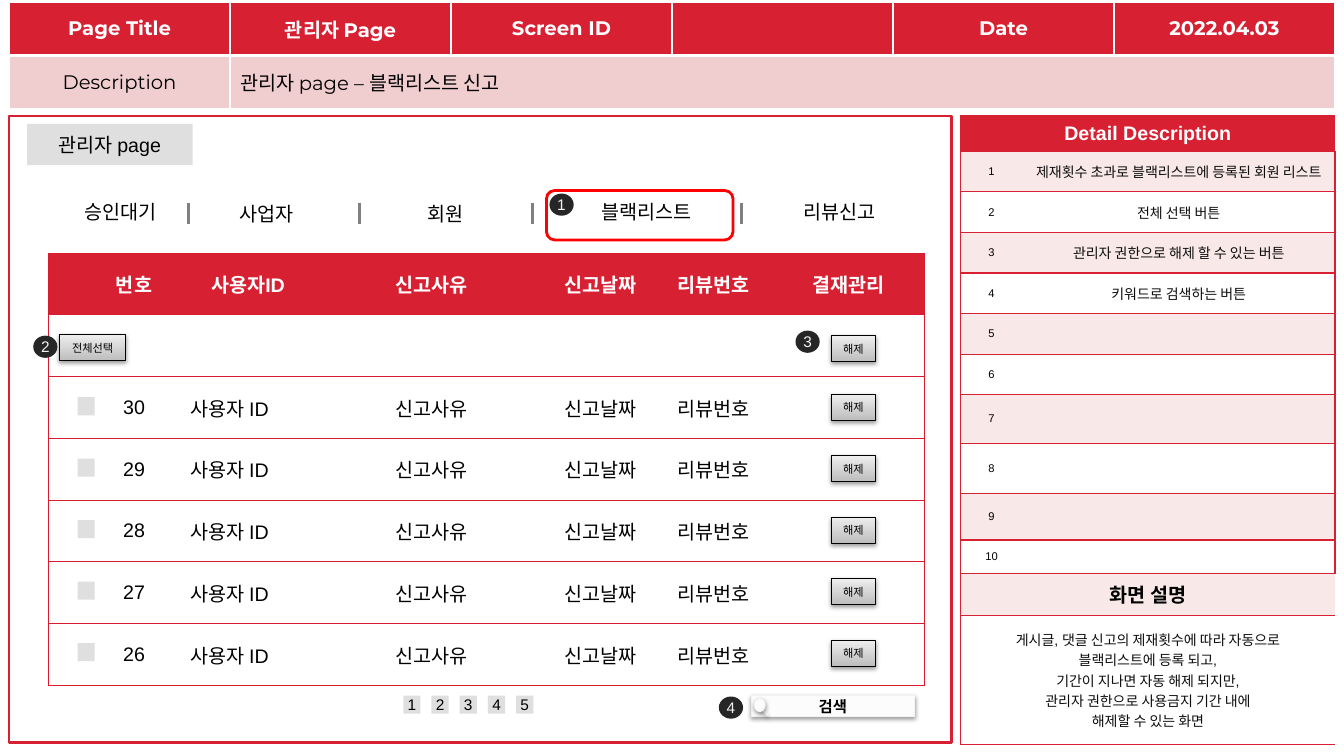
from pptx import Presentation
from pptx.dml.color import RGBColor as Rgb
from pptx.enum.shapes import MSO_CONNECTOR as Link, MSO_SHAPE as Kind
from pptx.enum.text import MSO_ANCHOR as Anchor, PP_ALIGN as Align
from pptx.oxml.ns import qn
from lxml.etree import SubElement as Sub, Element
from pptx.util import Inches, Pt

RED, RULE, GREY, WHITE, BLACK, INK = "D82033", "D81B2E", "DFDFDF", "FFFFFF", "000000", "0D0D0D"
PINK, PALE, DARK = "F0CDCE", "F8E8E8", "262626"
STEEL, SNOW = ("BDBDBD", "EEEEEE"), ("FCFCFC", "FEFEFE")
COLS, ROWS = 133.3, 75


def hue(code):
    return Rgb.from_string(code)


def unit(count):
    """Length of a number of grid columns or rows, ten to the inch."""
    return Inches(count / 10)


def write(frame, text, size=14, color=BLACK, bold=False, font="Arial", align=Align.CENTER):
    """Fill a text frame, one paragraph to each line of the text."""
    frame.word_wrap = True
    for num, line in enumerate(text.split("\n")):
        para = frame.add_paragraph() if num else frame.paragraphs[0]
        para.alignment = align
        if not line:
            para._p.get_or_add_endParaRPr().set("sz", str(size * 100))
            continue
        run = para.add_run()
        run.text = line
        run.font.size, run.font.bold, run.font.name = Pt(size), bold, font
        run.font.color.rgb = hue(color)


def edge(cell, side, color, width):
    """Draw one border of a cell, or clear it when there is no colour."""
    line = Element(qn("a:ln" + side), w=str(Pt(width)))
    if color:
        Sub(Sub(line, qn("a:solidFill")), qn("a:srgbClr"), val=color)
    else:
        Sub(line, qn("a:noFill"))
    props = cell._tc.get_or_add_tcPr()
    props.insert("LRTB".index(side), line)


class Board:
    """Draws styled shapes on one slide, measured on the grid."""

    def __init__(self, deck):
        self.slide = deck.slides.add_slide(deck.slide_layouts[6])
        self.shapes = self.slide.shapes

    def box(self, x, y, w, h, text="", kind=Kind.RECTANGLE, fill=None, line=None,
            width=0.75, shade=False, turn=0, **form):
        shape = self.shapes.add_shape(kind, *map(unit, (x, y, w, h)))
        shape.rotation = turn
        shape.shadow.inherit = False
        if isinstance(fill, tuple):
            shape.fill.gradient()
            shape.fill.gradient_angle = 90
            for stop, code in zip(shape.fill.gradient_stops, fill):
                stop.color.rgb = hue(code)
        elif fill:
            shape.fill.solid()
            shape.fill.fore_color.rgb = hue(fill)
        else:
            shape.fill.background()
        if line:
            shape.line.color.rgb = hue(line)
            shape.line.width = Pt(width)
        else:
            shape.line.fill.background()
        if shade:
            self.shade(shape)
        if text:
            frame = shape.text_frame
            frame.margin_left = frame.margin_right = frame.margin_top = frame.margin_bottom = 0
            frame.vertical_anchor = Anchor.MIDDLE
            write(frame, text, **form)

    def shade(self, shape):
        """Add a soft shadow below a shape."""
        effect = shape._element.spPr.find(qn("a:effectLst"))
        cast = Sub(effect, qn("a:outerShdw"), blurRad="40000", dist="20000",
                   dir="5400000", rotWithShape="0")
        tone = Sub(cast, qn("a:srgbClr"), val=BLACK)
        Sub(tone, qn("a:alpha"), val="38000")

    def button(self, x, y, w, text):
        self.box(x, y, w, 2.6, text, fill=STEEL, line=BLACK, shade=True, size=8)

    def badge(self, x, y, text):
        self.box(x, y, 2.4, 2.2, text, Kind.OVAL, DARK, size=11, color="F2F2F2")

    def label(self, x, y, w, h, text, **form):
        frame = self.shapes.add_textbox(*map(unit, (x, y, w, h))).text_frame
        frame.vertical_anchor = Anchor.MIDDLE
        write(frame, text, **form)

    def bar(self, x, y, h):
        """Draw an upright divider."""
        link = self.shapes.add_connector(Link.STRAIGHT, *map(unit, (x, y, x, y + h)))
        link.line.color.rgb = hue("808080")
        link.line.width = Pt(2.25)
        Sub(link._element.spPr, qn("a:effectLst"))

    def table(self, x, y, cols, rows, cells, line, width, inner=None, gap=None):
        """Add a table; inner colours the upright rules, gap widens the level ones."""
        table = self.shapes.add_table(len(rows), len(cols), *map(
            unit, (x, y, sum(cols), sum(rows)))).table
        table.first_row = table.horz_banding = False
        for col, size in zip(table.columns, cols):
            col.width = unit(size)
        for row, size in zip(table.rows, rows):
            row.height = unit(size)
        end, last = len(cols) - 1, len(rows) - 1
        for r, row in enumerate(cells):
            c = 0
            for item in row:
                form = dict(item)
                text, fill, span = form.pop("text"), form.pop("fill"), form.pop("span", 1)
                for at in range(c, c + span):
                    cell = table.cell(r, at)
                    cell.fill.solid()
                    cell.fill.fore_color.rgb = hue(fill)
                    cell.vertical_anchor = Anchor.MIDDLE
                    cell.margin_top = cell.margin_bottom = unit(0.2)
                    edge(cell, "L", inner if at else line, width)
                    edge(cell, "R", inner if at < end else line, width)
                    edge(cell, "T", line, gap if gap and r else width)
                    edge(cell, "B", line, gap if gap and r < last else width)
                write(table.cell(r, c).text_frame, text, **form)
                if span > 1:
                    table.cell(r, c).merge(table.cell(r, c + span - 1))
                c += span


def heading(board):
    words = ["Page Title", "관리자 Page", "Screen ID", "", "Date", "2022.04.03"]
    top = [dict(text=word, fill=RED, color=WHITE, bold=True, font="Montserrat") for word in words]
    low = [dict(text="Description", fill=PINK, font="Montserrat"),
           dict(text="관리자 page – 블랙리스트 신고", fill=PINK, span=5, font="Montserrat",
                align=Align.LEFT)]
    board.table(0.9, 0.2, [21.92] * 6, [5.3] * 2, [top, low], WHITE, 1, inner=WHITE, gap=3)


def detail(board):
    notes = ["제재횟수 초과로 블랙리스트에 등록된 회원 리스트", "전체 선택 버튼",
             "관리자 권한으로 해제 할 수 있는 버튼", "키워드로 검색하는 버튼"] + [""] * 6
    about = ("게시글, 댓글 신고의 제재횟수에 따라 자동으로\n블랙리스트에 등록 되고,\n"
             "기간이 지나면 자동 해제 되지만,\n관리자 권한으로 사용금지 기간 내에\n해제할 수 있는 화면")
    cells = [[dict(text="Detail Description", fill=RED, span=2, color=WHITE, bold=True)]]
    for num, note in enumerate(notes, 1):
        fill = PALE if num % 2 else WHITE
        cells.append([dict(text=str(num), fill=fill, size=8),
                      dict(text=note, fill=fill, size=10, color=INK)])
    cells += [[dict(text="화면 설명", fill=PALE, span=2, bold=True)],
              [dict(text=about, fill=WHITE, span=2, size=10, color=INK)]]
    rows = [3.5] + [4.03] * 6 + [4.8, 5, 4.6, 3.3, 4.2, 12.8]
    board.table(95.3, 11.5, [6.1, 31], rows, cells, RED, 1)


def tabs(board):
    for x, y, w, text in [(3.8, 18.9, 16.4, "승인대기"), (21.2, 19.1, 10.5, "사업자"),
                          (38.9, 19.1, 10.5, "회원"), (55.9, 18.9, 16.4, "블랙리스트"),
                          (75.1, 18.9, 16.4, "리뷰신고")]:
        board.label(x, y, w, 4.1, text)
    for x in (18.7, 35.7, 52.8, 73.5):
        board.bar(x, 20.1, 2.1)
    board.box(54.2, 18.9, 18.5, 4.9, kind=Kind.ROUNDED_RECTANGLE, line="FF0000", width=2)
    board.badge(54.5, 19.2, "1")


def reports(board):
    heads = ["", "번호", "사용자ID", "신고사유", "신고날짜", "리뷰번호", "결재관리"]
    cells = [[dict(text=head, fill=RED, color=WHITE, bold=True) for head in heads],
             [dict(text="", fill=WHITE) for _ in heads]]
    for num in range(30, 25, -1):
        words = ["", str(num), "사용자 ID", *heads[3:6], ""]
        cells.append([dict(text=word, fill=WHITE, align=Align.LEFT if c == 2 else Align.CENTER)
                      for c, word in enumerate(words)])
    board.table(4.8, 25.1, [3.9, 9.2, 13.4, 23, 10.6, 11.8, 15], [6.13] * 7, cells, RULE, 0.75)
    board.button(5.9, 33.2, 6.6, "전체선택")
    board.button(82.5, 33.3, 4.3, "해제")
    for num in range(5):
        board.box(7.7, 39.4 + 6.1 * num, 1.7, 1.8, fill=GREY)
        board.button(82.5, 39.1 + 6.1 * num, 4.3, "해제")
    board.badge(3.3, 33.3, "2")
    board.badge(78.9, 32.8, "3")


def footer(board):
    for num in range(5):
        board.box(40 + 2.8 * num, 69, 1.7, 1.8, str(num + 1), fill=GREY, size=11)
    glass = dict(fill=SNOW, line="F3F3F3", shade=True)
    board.box(74.5, 69, 16.2, 2.1, "검색", size=11, bold=True, **glass)
    board.box(75.6, 69.7, 0.1, 1.4, kind=Kind.ROUNDED_RECTANGLE, turn=316.3, **glass)
    board.box(74.8, 69.3, 1.1, 1.3, kind=Kind.OVAL, **glass)
    board.badge(71.3, 69.1, "4")


def main():
    deck = Presentation()
    deck.slide_width, deck.slide_height = unit(COLS), unit(ROWS)
    board = Board(deck)
    heading(board)
    detail(board)
    board.box(0.9, 11.5, 93.5, 62.2, fill=WHITE, line=RED, width=2)
    board.box(2.7, 12.3, 16.4, 4.1, "관리자 page", fill=GREY)
    reports(board)
    tabs(board)
    footer(board)
    deck.save("out.pptx")


if __name__ == "__main__":
    main()
